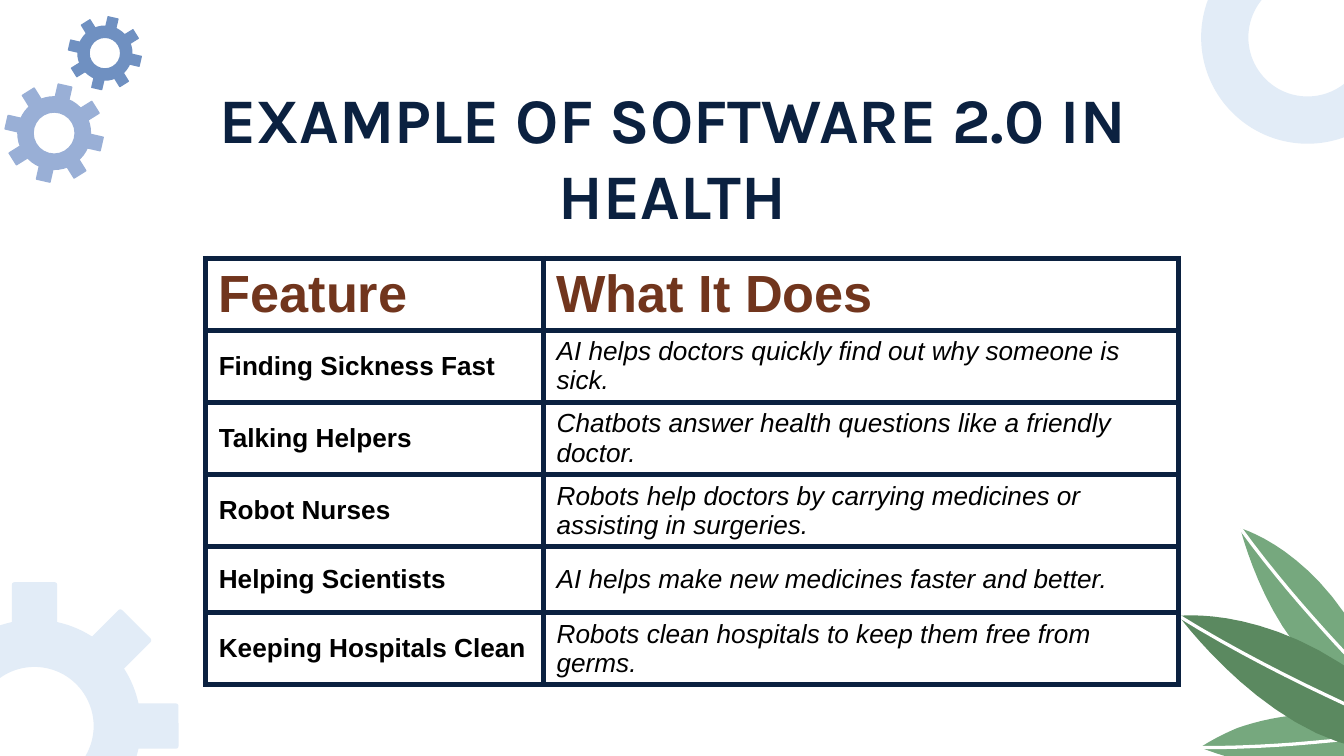
import math
from dataclasses import dataclass

import pptx
import pptx.dml.color
import pptx.enum.shapes
import pptx.enum.text
import pptx.oxml
import pptx.util
from pptx.oxml.ns import nsdecls

Pt = pptx.util.Pt
SHAPE = pptx.enum.shapes.MSO_SHAPE


@dataclass(frozen=True)
class Theme:
    navy: str = "0B2140"
    brown: str = "71351D"
    black: str = "000000"
    white: str = "FFFFFF"
    pale_blue: str = "E2ECF7"
    mid_blue: str = "99AFD6"
    deep_blue: str = "6F90C1"
    light_green: str = "76A87E"
    dark_green: str = "5B8960"
    title_font: str = "Karla"
    table_font: str = "Arial"
    title_size: int = 34
    header_size: int = 28
    body_size: int = 14
    border: int = 3


THEME = Theme()

HEADER = ("Feature", "What It Does")
FEATURES = [
    ("Finding Sickness Fast", "AI helps doctors quickly find out why someone is sick."),
    ("Talking Helpers", "Chatbots answer health questions like a friendly doctor."),
    ("Robot Nurses", "Robots help doctors by carrying medicines or assisting in surgeries."),
    ("Helping Scientists", "AI helps make new medicines faster and better."),
    ("Keeping Hospitals Clean", "Robots clean hospitals to keep them free from germs."),
]

# Each leaf: colour, outline and vein, both as chains of cubic curves
LEAVES = [
    (THEME.light_green,
     [(664.5, 283), (664.5, 283), (718, 298), (742.5, 375),
      (685.5, 370), (664.5, 283), (664.5, 283)],
     [(664.5, 283), (697, 328), (741.5, 371.5), (741.5, 371.5)]),
    (THEME.light_green,
     [(643, 400.5), (643, 400.5), (650, 395.5), (663, 390),
      (683.5, 383), (717, 376.5), (763, 391.5),
      (756, 399.5), (748, 405.5), (738.5, 408),
      (698.5, 423.5), (643, 400.5), (643, 400.5)],
     [(643, 400.5), (698, 401), (759, 391), (759.5, 391)]),
    (THEME.dark_green,
     [(631.5, 330), (631.5, 330), (701.5, 321), (767, 399),
      (698.5, 421), (631.5, 330), (631.5, 330)],
     [(631.5, 330), (691, 367), (763.5, 396), (764, 396)]),
]


def rgb(color):
    return pptx.dml.color.RGBColor.from_string(color)


def paint(shape, color):
    shape.shadow.inherit = False
    shape.fill.solid()
    shape.fill.fore_color.rgb = rgb(color)
    shape.line.fill.background()


def style_runs(paragraph, font, size, color, bold=False, italic=False):
    for run in paragraph.runs:
        run.font.name = font
        run.font.size = Pt(size)
        run.font.bold = bold
        run.font.italic = italic
        run.font.color.rgb = rgb(color)


def add_ring(slide, x, y, radius, hole, color):
    ring = slide.shapes.add_shape(
        SHAPE.DONUT, Pt(x - radius), Pt(y - radius), Pt(2 * radius), Pt(2 * radius))
    ring.adjustments[0] = (radius - hole) / (2 * radius)
    paint(ring, color)


def add_gear(slide, x, y, radius, hole, reach, tooth_size, angles, color):
    """Ring with square teeth centred at distance reach from its middle."""
    add_ring(slide, x, y, radius, hole, color)
    for angle in angles:
        tooth_x = x + reach * math.cos(math.radians(angle))
        tooth_y = y + reach * math.sin(math.radians(angle))
        tooth = slide.shapes.add_shape(
            SHAPE.ROUNDED_RECTANGLE, Pt(tooth_x - tooth_size / 2),
            Pt(tooth_y - tooth_size / 2), Pt(tooth_size), Pt(tooth_size))
        tooth.adjustments[0] = 0.06
        tooth.rotation = angle
        paint(tooth, color)


def curve_points(chain, steps=16):
    points = [chain[0]]
    for first in range(0, len(chain) - 1, 3):
        a, b, c, d = chain[first:first + 4]
        for step in range(1, steps + 1):
            t = step / steps
            u = 1 - t
            points.append(tuple(
                u**3 * a[i] + 3 * u * u * t * b[i] + 3 * u * t * t * c[i] + t**3 * d[i]
                for i in (0, 1)))
    return points


def add_curve(slide, chain, closed):
    points = [(Pt(x), Pt(y)) for x, y in curve_points(chain)]
    builder = slide.shapes.build_freeform(*points[0], scale=1.0)
    builder.add_line_segments(points[1:], close=closed)
    return builder.convert_to_shape()


def add_leaf(slide, color, outline, vein):
    paint(add_curve(slide, outline, closed=True), color)
    midrib = add_curve(slide, vein, closed=False)
    midrib.shadow.inherit = False
    midrib.fill.background()
    midrib.line.color.rgb = rgb(THEME.white)
    midrib.line.width = Pt(1.75)


def set_title(slide, text):
    title = slide.shapes.title
    title.left, title.top, title.width, title.height = Pt(56), Pt(35.5), Pt(608.5), Pt(88)
    frame = title.text_frame
    frame.text = text
    frame.word_wrap = True
    frame.auto_size = pptx.enum.text.MSO_AUTO_SIZE.NONE
    frame.vertical_anchor = pptx.enum.text.MSO_ANCHOR.TOP
    frame.margin_left = frame.margin_right = Pt(7.2)
    frame.margin_top = frame.margin_bottom = Pt(7.2)
    frame.paragraphs[0].alignment = pptx.enum.text.PP_ALIGN.CENTER
    style_runs(frame.paragraphs[0], THEME.title_font, THEME.title_size, THEME.navy, bold=True)


def set_borders(cell):
    properties = cell._tc.get_or_add_tcPr()
    for position, side in enumerate(("lnL", "lnR", "lnT", "lnB")):
        properties.insert(position, pptx.oxml.parse_xml(
            f'<a:{side} {nsdecls("a")} w="{Pt(THEME.border)}"><a:solidFill>'
            f'<a:srgbClr val="{THEME.navy}"/></a:solidFill></a:{side}>'))


def add_feature_table(slide):
    rows = [HEADER, *FEATURES]
    row_height = 35.3
    table = slide.shapes.add_table(
        len(rows), 2, Pt(110), Pt(138.4), Pt(521.5), Pt(row_height * len(rows))).table
    table.first_row = table.horz_banding = False
    table.columns[0].width, table.columns[1].width = Pt(181), Pt(340.5)
    for r, row in enumerate(rows):
        table.rows[r].height = Pt(row_height)
        is_header = r == 0
        for c, text in enumerate(row):
            cell = table.cell(r, c)
            cell.text_frame.text = text
            cell.vertical_anchor = pptx.enum.text.MSO_ANCHOR.MIDDLE
            cell.fill.background()
            set_borders(cell)
            is_description = c == 1 and not is_header
            style_runs(cell.text_frame.paragraphs[0], THEME.table_font,
                       THEME.header_size if is_header else THEME.body_size,
                       THEME.brown if is_header else THEME.black,
                       bold=not is_description, italic=is_description)


def main():
    deck = pptx.Presentation()
    deck.slide_width, deck.slide_height = Pt(720), Pt(405)
    slide = deck.slides.add_slide(deck.slide_layouts[5])

    # Corner decoration
    for leaf in LEAVES:
        add_leaf(slide, *leaf)
    add_gear(slide, 18.5, 389, 57, 31.7, 65, 24.3, (-90, -45, 0), THEME.pale_blue)
    all_round = range(13, 373, 45)
    add_gear(slide, 29, 71.3, 19.8, 10.9, 22.4, 8.2, all_round, THEME.mid_blue)
    add_gear(slide, 56.2, 28.5, 14.8, 8.1, 16.7, 6.1, all_round, THEME.deep_blue)
    add_ring(slide, 700.5, 20, 57, 31.7, THEME.pale_blue)

    # Content
    set_title(slide, "EXAMPLE OF SOFTWARE 2.0 IN HEALTH")
    add_feature_table(slide)

    deck.save("out.pptx")


if __name__ == "__main__":
    main()
